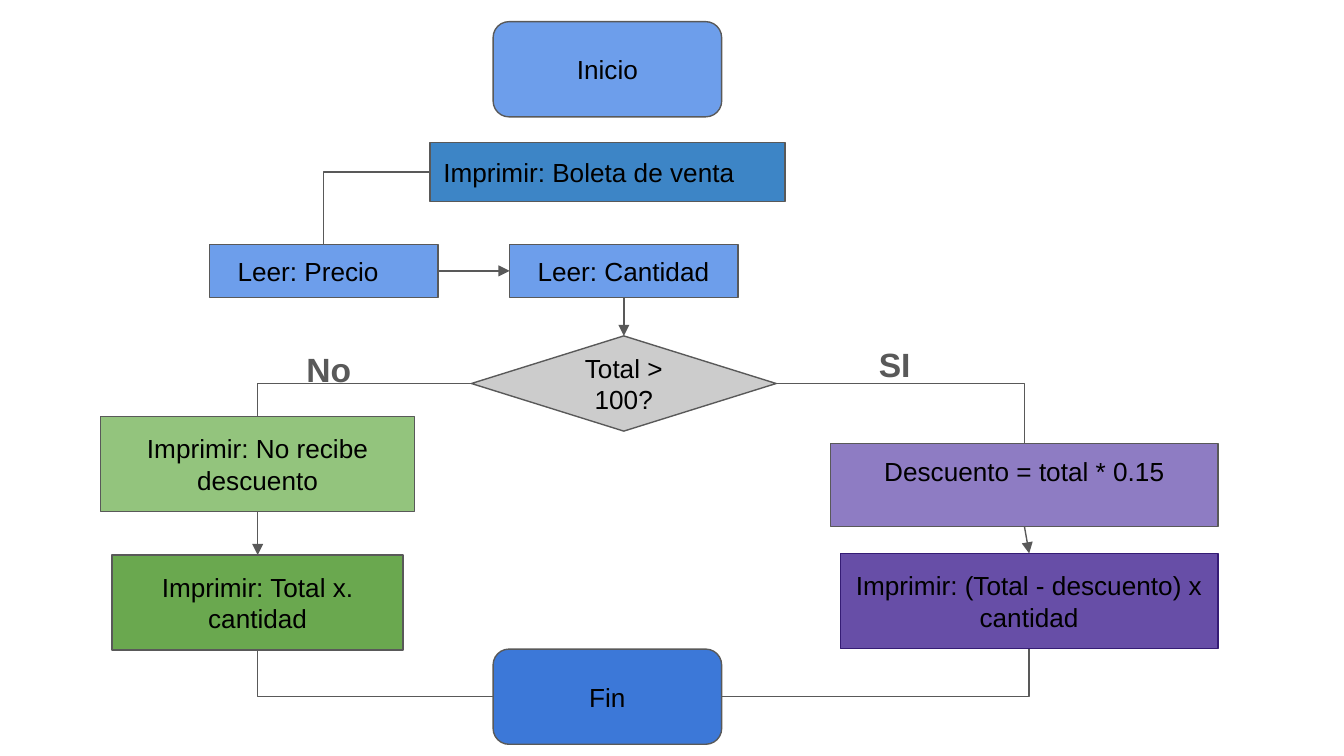
import pptx
import pptx.util
import pptx.dml.color
import pptx.enum.shapes
import pptx.enum.text
import pptx.oxml.ns
from lxml import etree

Cm = pptx.util.Cm
Pt = pptx.util.Pt
RGBColor = pptx.dml.color.RGBColor
Shape = pptx.enum.shapes.MSO_SHAPE
Connector = pptx.enum.shapes.MSO_CONNECTOR
Anchor = pptx.enum.text.MSO_ANCHOR
Align = pptx.enum.text.PP_ALIGN
qn = pptx.oxml.ns.qn

BLACK = RGBColor(0x00, 0x00, 0x00)
DARK_GRAY = RGBColor(0x59, 0x59, 0x59)
GRAY = RGBColor(0xCC, 0xCC, 0xCC)
LIGHT_BLUE = RGBColor(0x6D, 0x9E, 0xEB)
STEEL_BLUE = RGBColor(0x3D, 0x85, 0xC6)
BLUE = RGBColor(0x3C, 0x78, 0xD8)
LIGHT_GREEN = RGBColor(0x93, 0xC4, 0x7D)
GREEN = RGBColor(0x6A, 0xA8, 0x4F)
LIGHT_PURPLE = RGBColor(0x8E, 0x7C, 0xC3)
PURPLE = RGBColor(0x67, 0x4E, 0xA7)
DEEP_PURPLE = RGBColor(0x35, 0x1C, 0x75)

FONT = "Arial"
INSET = 0.25
INDENTED = 0.53
TOP, LEFT, BOTTOM, RIGHT = range(4)

STEPS = {
    "decision": ("Total > 100?", Shape.FLOWCHART_DECISION, (8.91, 6.35, 5.76, 1.8), GRAY),
    "end": ("Fin", Shape.ROUNDED_RECTANGLE, (9.32, 12.27, 4.32, 1.8), BLUE),
    "discount": ("Descuento = total * 0.15", Shape.RECTANGLE, (15.7, 8.38, 7.32, 1.57), LIGHT_PURPLE),
    "no discount": ("Imprimir: No recibe descuento", Shape.RECTANGLE, (1.9, 7.87, 5.94, 1.8), LIGHT_GREEN),
    "net total": ("Imprimir: (Total - descuento) x cantidad", Shape.RECTANGLE, (15.88, 10.46, 7.14, 1.8), PURPLE),
    "start": ("Inicio", Shape.ROUNDED_RECTANGLE, (9.32, 0.41, 4.32, 1.8), LIGHT_BLUE),
    "receipt": ("Imprimir: Boleta de venta", Shape.RECTANGLE, (8.13, 2.69, 6.71, 1.12), STEEL_BLUE),
    "price": ("Leer: Precio", Shape.RECTANGLE, (3.96, 4.62, 4.32, 1), LIGHT_BLUE),
    "quantity": ("Leer: Cantidad", Shape.RECTANGLE, (9.63, 4.62, 4.32, 1), LIGHT_BLUE),
    "full total": ("Imprimir: Total x. cantidad", Shape.RECTANGLE, (2.12, 10.49, 5.5, 1.8), GREEN),
}
LEFT_INSETS = {"receipt": INSET, "price": INDENTED, "quantity": INDENTED}

LABELS = [
    ("SI", (16.36, 6.25, 1.32, 1)),
    ("No", (5.54, 6.35, 1.7, 1.12)),
]

ARROWS = [
    ("price", RIGHT, "quantity", LEFT),
    ("quantity", BOTTOM, "decision", TOP),
    ("discount", BOTTOM, "net total", TOP),
    ("no discount", BOTTOM, "full total", TOP),
]
ELBOWS = [
    ("receipt", LEFT, "price", TOP),
    ("decision", RIGHT, "discount", TOP),
    ("decision", LEFT, "no discount", TOP),
    ("end", RIGHT, "net total", BOTTOM),
    ("end", LEFT, "full total", BOTTOM),
]


def write(box, text, size, color, align, left_inset=INSET):
    frame = box.text_frame
    frame.word_wrap = True
    frame.margin_left = Cm(left_inset)
    frame.margin_top = frame.margin_right = frame.margin_bottom = Cm(INSET)
    para = frame.paragraphs[0]
    para.text = text
    para.alignment = align
    para.font.name = FONT
    para.font.size = Pt(size)
    para.font.color.rgb = color
    return frame, para


def add_step(page, name):
    text, kind, place, fill = STEPS[name]
    box = page.shapes.add_shape(kind, *map(Cm, place))
    box.shadow.inherit = False
    box.fill.solid()
    box.fill.fore_color.rgb = fill
    box.line.color.rgb = DARK_GRAY
    box.line.width = Pt(0.75)
    align = Align.LEFT if name in LEFT_INSETS else Align.CENTER
    frame, _ = write(box, text, 14, BLACK, align, LEFT_INSETS.get(name, INSET))
    frame.vertical_anchor = Anchor.MIDDLE
    return box


def add_link(page, boxes, kind, source, source_side, target, target_side):
    link = page.shapes.add_connector(kind, 0, 0, 0, 0)
    link.begin_connect(boxes[source], source_side)
    link.end_connect(boxes[target], target_side)
    link.line.color.rgb = DARK_GRAY
    link.line.width = Pt(0.75)
    properties = link._element.spPr
    etree.SubElement(properties, qn("a:effectLst"))
    if kind == Connector.ELBOW:
        properties.find(qn("a:prstGeom")).set("prst", "bentConnector2")
    else:
        etree.SubElement(properties.find(qn("a:ln")), qn("a:tailEnd"), type="triangle")


def main():
    deck = pptx.Presentation()
    deck.slide_width, deck.slide_height = Cm(25.4), Cm(14.29)
    page = deck.slides.add_slide(deck.slide_layouts[6])

    boxes = {name: add_step(page, name) for name in STEPS}
    boxes["net total"].line.color.rgb = DEEP_PURPLE
    discount_frame = boxes["discount"].text_frame
    discount_frame.vertical_anchor = Anchor.TOP
    discount_frame.margin_top = Cm(0.22)

    for kind, links in ((Connector.STRAIGHT, ARROWS), (Connector.ELBOW, ELBOWS)):
        for link in links:
            add_link(page, boxes, kind, *link)

    for text, place in LABELS:
        label = page.shapes.add_textbox(*map(Cm, place))
        _, para = write(label, text, 18, DARK_GRAY, Align.LEFT)
        para.font.bold = True

    deck.save("out.pptx")


if __name__ == "__main__":
    main()
